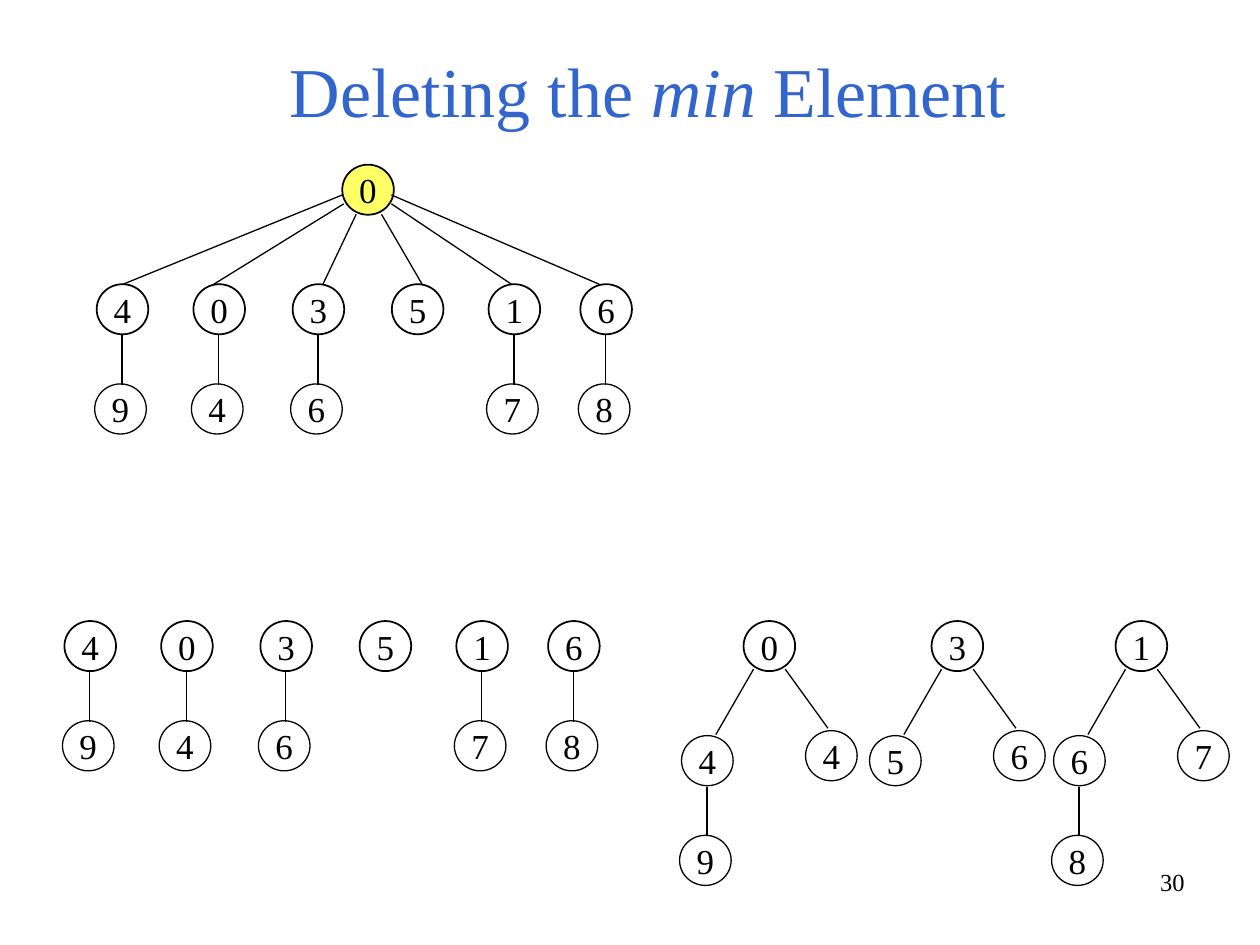
from lxml import etree
from pptx import Presentation
from pptx.dml.color import RGBColor
from pptx.enum.shapes import MSO_CONNECTOR, MSO_SHAPE
from pptx.enum.text import MSO_ANCHOR, MSO_AUTO_SIZE, PP_ALIGN
from pptx.oxml.ns import qn
from pptx.util import Cm, Pt

BLACK = RGBColor(0x00, 0x00, 0x00)
WHITE = RGBColor(0xFF, 0xFF, 0xFF)
BLUE = RGBColor(0x33, 0x66, 0xCC)
YELLOW = RGBColor(0xFF, 0xFF, 0x66)
CENTER, RIGHT = PP_ALIGN.CENTER, PP_ALIGN.RIGHT
MIDDLE, BOTTOM = MSO_ANCHOR.MIDDLE, MSO_ANCHOR.BOTTOM
OVAL, STRAIGHT = MSO_SHAPE.OVAL, MSO_CONNECTOR.STRAIGHT
NO_FIT = MSO_AUTO_SIZE.NONE
FONT = "Times New Roman"

# All lengths below are in centimetres
NODE_W, NODE_H = 1.04, 1.01
LEVEL = 2.01  # drop from a parent to the child right under it

# Trees in a row: offset of the root, root key, child key
ROW = [(0, "4", "9"), (1.95, "0", "4"), (3.95, "3", "6"),
       (5.95, "5", None), (7.9, "1", "7"), (9.75, "6", "8")]
# Edges of the deleted root: start within the root, end within each child
SPOKES = [((0, 0.61), 0.53), ((0.03, 0.79), 0.41), ((0.28, 1), 0.61),
          ((0.79, 1), 0.61), ((0.99, 0.79), 0.46), ((0.99, 0.61), 0.38)]
# Merged trees: left edge, root, left child, right child, grandchild
MERGED = [(14.99, "0", "4", "4", "9"), (18.78, "3", "5", "6", None),
          (22.49, "1", "6", "7", "8")]


def add_run(p, text, **formats):
    r = p.add_run()
    r.text = text
    for name, value in {"name": FONT, **formats}.items():
        setattr(r.font, name, value)
    return r


def add_edge(s, x1, y1, x2, y2):
    edge = s.shapes.add_connector(STRAIGHT, Cm(x1), Cm(y1), Cm(x2), Cm(y2))
    edge.line.color.rgb = BLACK
    edge.line.width = Pt(0.75)
    etree.SubElement(edge._element.spPr, qn("a:effectLst"))


def add_node(s, x, y, key, width=0.75, fill=None):
    sp = s.shapes.add_shape(OVAL, Cm(x), Cm(y), Cm(NODE_W), Cm(NODE_H))
    sp.shadow.inherit = False
    if fill is None:
        sp.fill.background()
    else:
        sp.fill.solid()
        sp.fill.fore_color.rgb = fill
    sp.line.color.rgb = BLACK
    sp.line.width = Pt(width)
    tf = sp.text_frame
    tf.word_wrap = False
    tf.vertical_anchor = MIDDLE
    p = tf.paragraphs[0]
    p.alignment = CENTER
    r = add_run(p, key, size=Pt(20))
    r.font.color.rgb = BLACK


def add_child_below(s, x, y, key, fill=None):
    """Child and edge under the node at x, y."""
    add_node(s, x - 0.04, y + LEVEL, key, fill=fill)
    add_edge(s, x + 0.51, y + 1.03, x + 0.51, y + LEVEL + 0.02)


def add_row(s, x, y):
    for dx, root, child in ROW:
        add_node(s, x + dx, y, root, width=1)
        if child:
            add_child_below(s, x + dx, y, child)


def add_deleted_root(s, x, y, row_x, row_y):
    add_node(s, x, y, "0", width=1, fill=YELLOW)
    for (dx, dy), end in SPOKES:
        child_x = row_x + ROW[SPOKES.index(((dx, dy), end))][0]
        add_edge(s, x + dx, y + dy, child_x + end, row_y)


def add_merged_tree(s, x, y, root, left, right, grandchild):
    add_node(s, x, y, root, width=1, fill=WHITE)
    add_node(s, x - 1.25, y + 2.31, left, fill=WHITE)
    add_node(s, x + 1.25, y + 2.21, right, fill=WHITE)
    add_edge(s, x + 0.2, y + 0.97, x - 0.56, y + 2.29)
    add_edge(s, x + 0.84, y + 0.97, x + 1.7, y + 2.16)
    if grandchild:
        add_child_below(s, x - 1.25, y + 2.31, grandchild, fill=WHITE)


def add_title(s, x, y, w, h):
    title = s.shapes.title
    title.left, title.top, title.width, title.height = map(Cm, (x, y, w, h))
    tf = title.text_frame
    tf.auto_size = NO_FIT
    tf.vertical_anchor = BOTTOM
    p = tf.paragraphs[0]
    p.alignment = CENTER
    for text, italic in (("Deleting the ", False), ("min", True),
                         (" Element", False)):
        r = add_run(p, text, size=Pt(40), italic=italic)
        r.font.color.rgb = BLUE


def add_page_number(s, x, y, w, h):
    box = s.shapes.add_textbox(Cm(x), Cm(y), Cm(w), Cm(h))
    box.text_frame.word_wrap = True
    p = box.text_frame.paragraphs[0]
    p.alignment = RIGHT
    r = add_run(p, "30", size=Pt(14))
    r.font.color.rgb = BLACK


def main():
    prs = Presentation()
    prs.slide_width, prs.slide_height = Cm(25.4), Cm(19.05)
    s = prs.slides.add_slide(prs.slide_layouts[5])
    add_page_number(s, 18.21, 17.35, 5.92, 1.32)
    add_title(s, 1.9, 0.89, 22.33, 1.88)

    # Heap before the deletion
    add_row(s, 1.95, 5.73)
    add_deleted_root(s, 6.9, 3.32, 1.95, 5.73)

    # Subtrees left over, then merged in pairs
    add_row(s, 1.3, 12.52)
    for x, *keys in MERGED:
        add_merged_tree(s, x, 12.52, *keys)
    prs.save("out.pptx")


if __name__ == "__main__":
    main()
